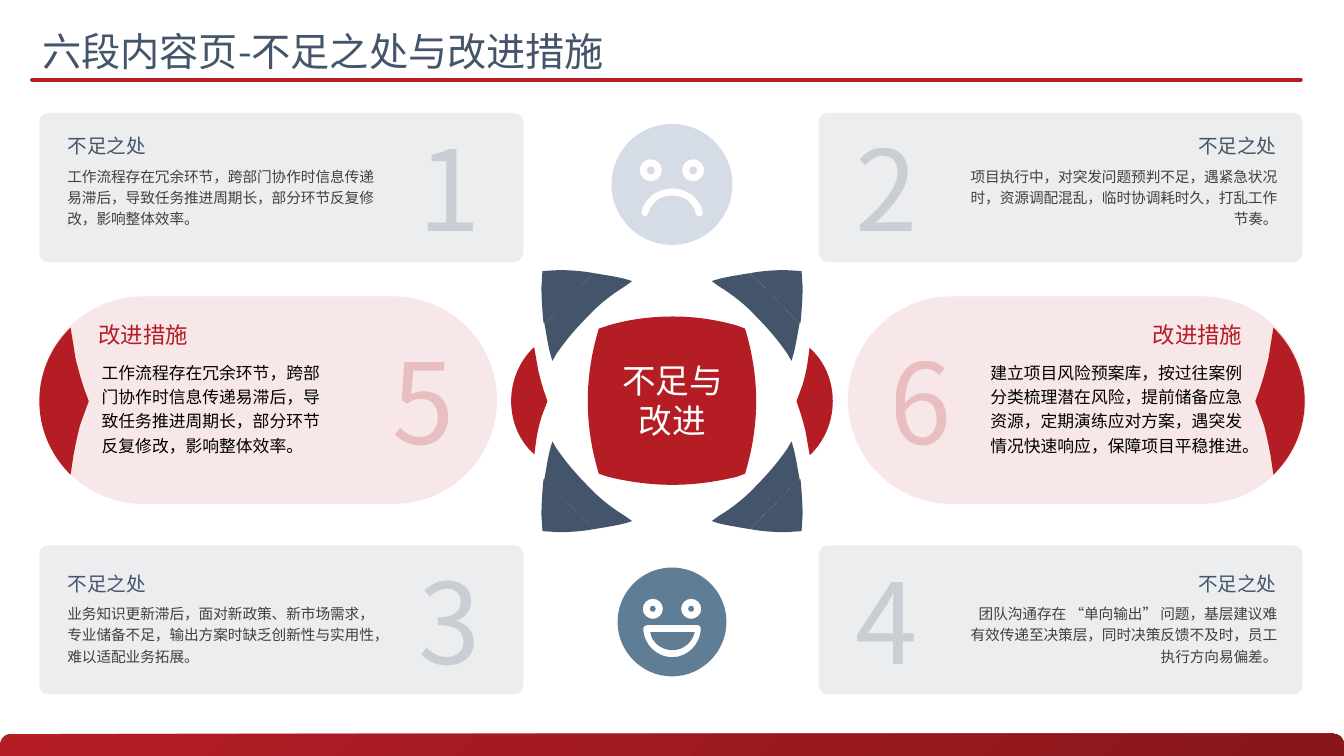
from lxml import etree
from pptx import Presentation
from pptx.dml.color import RGBColor
from pptx.enum.shapes import MSO_CONNECTOR, MSO_SHAPE
from pptx.enum.text import MSO_ANCHOR, MSO_AUTO_SIZE, PP_ALIGN
from pptx.oxml.ns import qn
from pptx.util import Inches, Pt

FONT = "Noto Sans CJK SC"
NAVY = RGBColor(0x44, 0x54, 0x6A)
RED = RGBColor(0xB5, 0x1D, 0x25)
DARK_RED = RGBColor(0x88, 0x16, 0x1C)
PALE_BLUE = RGBColor(0xD6, 0xDC, 0xE5)
STEEL = RGBColor(0x5F, 0x7D, 0x95)
GRAY = RGBColor(0x40, 0x40, 0x40)
BLACK = RGBColor(0, 0, 0)
WHITE = RGBColor(0xFF, 0xFF, 0xFF)
LEFT, RIGHT, CENTER = PP_ALIGN.LEFT, PP_ALIGN.RIGHT, PP_ALIGN.CENTER

WIDTH = 13.33
MIDDLE_Y = 3.98

# Outlines: a start point, then lines (2 numbers) or cubic curves (6 numbers)
PETAL_TIP = [(5.38, 2.69), (5.54, 2.68), (5.66, 2.68, 5.78, 2.69, 5.89, 2.71),
             (5.4, 3.21), (5.39, 3.2), (5.38, 3.09, 5.37, 2.97, 5.37, 2.85)]
PETAL_BASE = [(5.4, 3.21), (5.89, 2.71), (6.07, 2.74),
              (6.12, 2.75, 6.18, 2.76, 6.24, 2.78), (6.27, 2.79), (6.2, 2.84),
              (6.07, 2.92, 5.94, 3.02, 5.83, 3.14),
              (5.71, 3.26, 5.61, 3.38, 5.52, 3.51), (5.48, 3.58), (5.47, 3.55),
              (5.45, 3.49, 5.44, 3.43, 5.43, 3.38)]
SIDE_PETAL = [(5.29, 3.45), (5.3, 3.45), (5.34, 3.68),
              (5.36, 3.76, 5.38, 3.84, 5.41, 3.92), (5.43, 3.98), (5.37, 4.14),
              (5.35, 4.21, 5.33, 4.29, 5.32, 4.36), (5.3, 4.51), (5.29, 4.5),
              (5.14, 4.36, 5.07, 4.17, 5.07, 3.98), (5.07, 3.79, 5.14, 3.6, 5.29, 3.45)]
PILL_CAP = [(0.69, 3.26), (0.7, 3.25), (0.75, 3.56),
            (0.78, 3.68, 0.81, 3.79, 0.85, 3.9), (0.88, 3.98), (0.8, 4.2),
            (0.77, 4.3, 0.75, 4.41, 0.73, 4.51), (0.7, 4.71), (0.69, 4.7),
            (0.49, 4.5, 0.39, 4.24, 0.39, 3.98), (0.39, 3.72, 0.49, 3.46, 0.69, 3.26)]
HUB = [(6.67, 3.14), (6.89, 3.14, 7.1, 3.17, 7.31, 3.23), (7.39, 3.26),
       (7.46, 3.49, 7.5, 3.73, 7.5, 3.98), (7.5, 4.23, 7.46, 4.47, 7.39, 4.7),
       (7.31, 4.73), (7.1, 4.78, 6.89, 4.81, 6.67, 4.81),
       (6.45, 4.81, 6.23, 4.78, 6.03, 4.73), (5.94, 4.7),
       (5.87, 4.47, 5.83, 4.23, 5.83, 3.98), (5.83, 3.73, 5.87, 3.49, 5.94, 3.26),
       (6.03, 3.23), (6.23, 3.17, 6.45, 3.14, 6.67, 3.14)]
FROWN = [(6.67, 1.87), (6.81, 1.87, 6.94, 1.96, 6.97, 2.1),
         (6.98, 2.12, 6.97, 2.14, 6.94, 2.15), (6.92, 2.15, 6.91, 2.14, 6.9, 2.12),
         (6.88, 2.01, 6.78, 1.94, 6.67, 1.94), (6.55, 1.94, 6.46, 2.01, 6.43, 2.12),
         (6.42, 2.14, 6.41, 2.15, 6.39, 2.15), (6.37, 2.14, 6.36, 2.12, 6.36, 2.1),
         (6.4, 1.96, 6.52, 1.87, 6.67, 1.87)]
SMILE = [(6.92, 6.2), (6.94, 6.2, 6.95, 6.22, 6.95, 6.23),
         (6.95, 6.39, 6.82, 6.52, 6.67, 6.52), (6.51, 6.52, 6.38, 6.39, 6.38, 6.23),
         (6.38, 6.22, 6.4, 6.2, 6.42, 6.2)]
SMILE_INSIDE = [(6.45, 6.27), (6.46, 6.37, 6.56, 6.45, 6.67, 6.45),
                (6.78, 6.45, 6.87, 6.37, 6.89, 6.27)]

# Number, whether on the right, card top, heading top, text
SHORTCOMINGS = [
    ("1", False, 1.12, 1.28, "工作流程存在冗余环节，跨部门协作时信息传递易滞后，导致任务推进周期长，部分环节反复修改，影响整体效率。"),
    ("2", True, 1.12, 1.28, "项目执行中，对突发问题预判不足，遇紧急状况时，资源调配混乱，临时协调耗时久，打乱工作节奏。"),
    ("3", False, 5.41, 5.62, "业务知识更新滞后，面对新政策、新市场需求，专业储备不足，输出方案时缺乏创新性与实用性，难以适配业务拓展。"),
    ("4", True, 5.41, 5.62, "团队沟通存在 “单向输出” 问题，基层建议难有效传递至决策层，同时决策反馈不及时，员工执行方向易偏差。"),
]
# Number, whether on the right, number left, text left, text width, text
IMPROVEMENTS = [
    ("5", False, 3.74, 0.91, 2.48, "工作流程存在冗余环节，跨部门协作时信息传递易滞后，导致任务推进周期长，部分环节反复修改，影响整体效率。"),
    ("6", True, 8.67, 9.63, 2.79, "建立项目风险预案库，按过往案例分类梳理潜在风险，提前储备应急资源，定期演练应对方案，遇突发情况快速响应，保障项目平稳推进。"),
]


def pairs(segment):
    return list(zip(segment[::2], segment[1::2]))


def circle(x, y, r):
    k = 0.55 * r
    return [(x, y - r), (x + k, y - r, x + r, y - k, x + r, y),
            (x + r, y + k, x + k, y + r, x, y + r),
            (x - k, y + r, x - r, y + k, x - r, y),
            (x - r, y - k, x - k, y - r, x, y - r)]


def mirror(outline, across, down):
    return [tuple(value for x, y in pairs(segment)
                  for value in (WIDTH - x if across else x,
                                2 * MIDDLE_Y - y if down else y))
            for segment in outline]


def set_alpha(element, percent):
    color = element.find(".//" + qn("a:srgbClr"))
    etree.SubElement(color, qn("a:alpha")).set("val", str(percent * 1000))


def paint(shape, color):
    shape.shadow.inherit = False
    shape.fill.solid()
    shape.fill.fore_color.rgb = color
    shape.line.fill.background()
    return shape


def add_outline(slide, color, *outlines):
    builder = None
    for outline in outlines:
        points = [(Inches(x), Inches(y)) for segment in outline for x, y in pairs(segment)]
        if builder is None:
            builder = slide.shapes.build_freeform(*points[0], scale=1.0)
        else:
            builder.move_to(*points[0])
        builder.add_line_segments(points[1:], close=True)
    shape = builder.convert_to_shape()
    # Join each three points of a curve into one cubic segment
    lines = iter(list(shape._element.iter(qn("a:lnTo"))))
    for outline in outlines:
        for segment in outline[1:]:
            curve = next(lines)
            if len(segment) == 6:
                curve.tag = qn("a:cubicBezTo")
                for line in (next(lines), next(lines)):
                    curve.append(line[0])
                    line.getparent().remove(line)
    return paint(shape, color)


def add_panel(slide, left, top, width, height, color, rounding):
    panel = slide.shapes.add_shape(MSO_SHAPE.ROUNDED_RECTANGLE, Inches(left),
                                   Inches(top), Inches(width), Inches(height))
    panel.adjustments[0] = rounding
    paint(panel, color)
    set_alpha(panel._element.spPr, 10)
    return panel


def format_text(paragraph, size, color, align=LEFT, spacing=None, alpha=None):
    paragraph.alignment = align
    if spacing:
        paragraph.line_spacing = spacing
    font = paragraph.font
    font.size, font.name, font.color.rgb = Pt(size), FONT, color
    properties = paragraph._p.pPr.find(qn("a:defRPr"))
    etree.SubElement(properties, qn("a:ea")).set("typeface", FONT)
    if alpha:
        set_alpha(properties, alpha)


def add_text(slide, text, left, top, width, height, *style, **options):
    frame = slide.shapes.add_textbox(Inches(left), Inches(top), Inches(width),
                                     Inches(height)).text_frame
    frame.word_wrap = True
    frame.text = text
    format_text(frame.paragraphs[0], *style, **options)


def add_title(slide, text):
    title = slide.shapes.title
    title.left, title.top = Inches(0.32), Inches(0.22)
    title.width, title.height = Inches(5.96), Inches(0.57)
    frame = title.text_frame
    frame.text = text
    frame.word_wrap = False
    frame.auto_size = MSO_AUTO_SIZE.NONE
    frame.vertical_anchor = MSO_ANCHOR.TOP
    format_text(frame.paragraphs[0], 28, NAVY)
    rule = slide.shapes.add_connector(MSO_CONNECTOR.STRAIGHT, Inches(0.32), Inches(0.79),
                                      Inches(12.9), Inches(0.79))
    rule.line.color.rgb, rule.line.width = RED, Pt(3)
    rule._element.spPr.find(qn("a:ln")).set("cap", "rnd")
    etree.SubElement(rule._element.spPr, qn("a:effectLst"))


def add_footer(slide):
    band = slide.shapes.add_shape(MSO_SHAPE.ROUND_2_SAME_RECTANGLE, 0, Inches(7.28),
                                  Inches(WIDTH), Inches(0.22))
    band.adjustments[0] = 0.5
    paint(band, RED)
    band.fill.gradient()
    band.fill.gradient_angle = 315
    for stop, color in zip(band.fill.gradient_stops, (RED, DARK_RED)):
        stop.color.rgb = color


def add_flower(slide):
    for across in (False, True):
        for down in (False, True):
            for outline in (PETAL_TIP, PETAL_BASE):
                add_outline(slide, NAVY, mirror(outline, across, down))
        add_outline(slide, RED, mirror(SIDE_PETAL, across, across))
    add_outline(slide, RED, HUB)
    add_text(slide, "不足与改进", 6, 3.52, 1.34, 0.91, 24, WHITE, CENTER)


def add_face(slide, color, y, radius, eye_y, eye_offset, eye, pupil, mouth, inside=None):
    x = WIDTH / 2
    eyes = [x - eye_offset, x + eye_offset]
    parts = [add_outline(slide, color, circle(x, y, radius), mouth,
                         *[circle(eye_x, eye_y, eye) for eye_x in eyes])]
    parts += [add_outline(slide, color, circle(eye_x, eye_y, pupil)) for eye_x in eyes]
    if inside:
        parts.append(add_outline(slide, color, inside))
    slide.shapes.add_group_shape(parts)


def add_shortcoming(slide, number, right, top, heading_top, text):
    align = RIGHT if right else LEFT
    add_panel(slide, 8.12 if right else 0.39, top, 4.8, 1.48, NAVY, 0.06)
    add_text(slide, "不足之处", 11.77 if right else 0.57, heading_top, 0.99, 0.34,
             14, NAVY, align)
    add_text(slide, text, 9.47 if right else 0.57, heading_top + 0.3, 3.3, 0.72,
             10.5, GRAY, align, spacing=1.2)
    add_text(slide, number, 8.33 if right else 3.99, top + 0.02, 0.93, 1.45,
             80, NAVY, CENTER, alpha=20)


def add_improvement(slide, number, right, number_left, text_left, text_width, text):
    align = RIGHT if right else LEFT
    pill = add_panel(slide, 8.41 if right else 0.39, 2.94, 4.54, 2.06, RED, 0.5)
    cap = add_outline(slide, RED, mirror(PILL_CAP, right, False))
    slide.shapes.add_group_shape([pill, cap])
    add_text(slide, "改进措施", 11.2 if right else 0.88, 3.14, 1.22, 0.37, 16, RED, align)
    add_text(slide, text, text_left, 3.51, text_width, 1.05, 12, BLACK, align, spacing=1.2)
    add_text(slide, number, number_left, 3.25, 0.93, 1.45, 80, RED, CENTER, alpha=20)


def main():
    presentation = Presentation()
    presentation.slide_width, presentation.slide_height = Inches(WIDTH), Inches(7.5)
    slide = presentation.slides.add_slide(presentation.slide_layouts[5])
    add_title(slide, "六段内容页-不足之处与改进措施")
    add_footer(slide)
    add_flower(slide)
    for shortcoming in SHORTCOMINGS:
        add_shortcoming(slide, *shortcoming)
    for improvement in IMPROVEMENTS:
        add_improvement(slide, *improvement)
    # Sad face above, happy face below
    add_face(slide, PALE_BLUE, 1.83, 0.6, 1.69, 0.21, 0.11, 0.04, FROWN)
    add_face(slide, STEEL, 6.17, 0.54, 6.04, 0.19, 0.1, 0.03, SMILE, SMILE_INSIDE)
    presentation.save("out.pptx")


if __name__ == "__main__":
    main()
